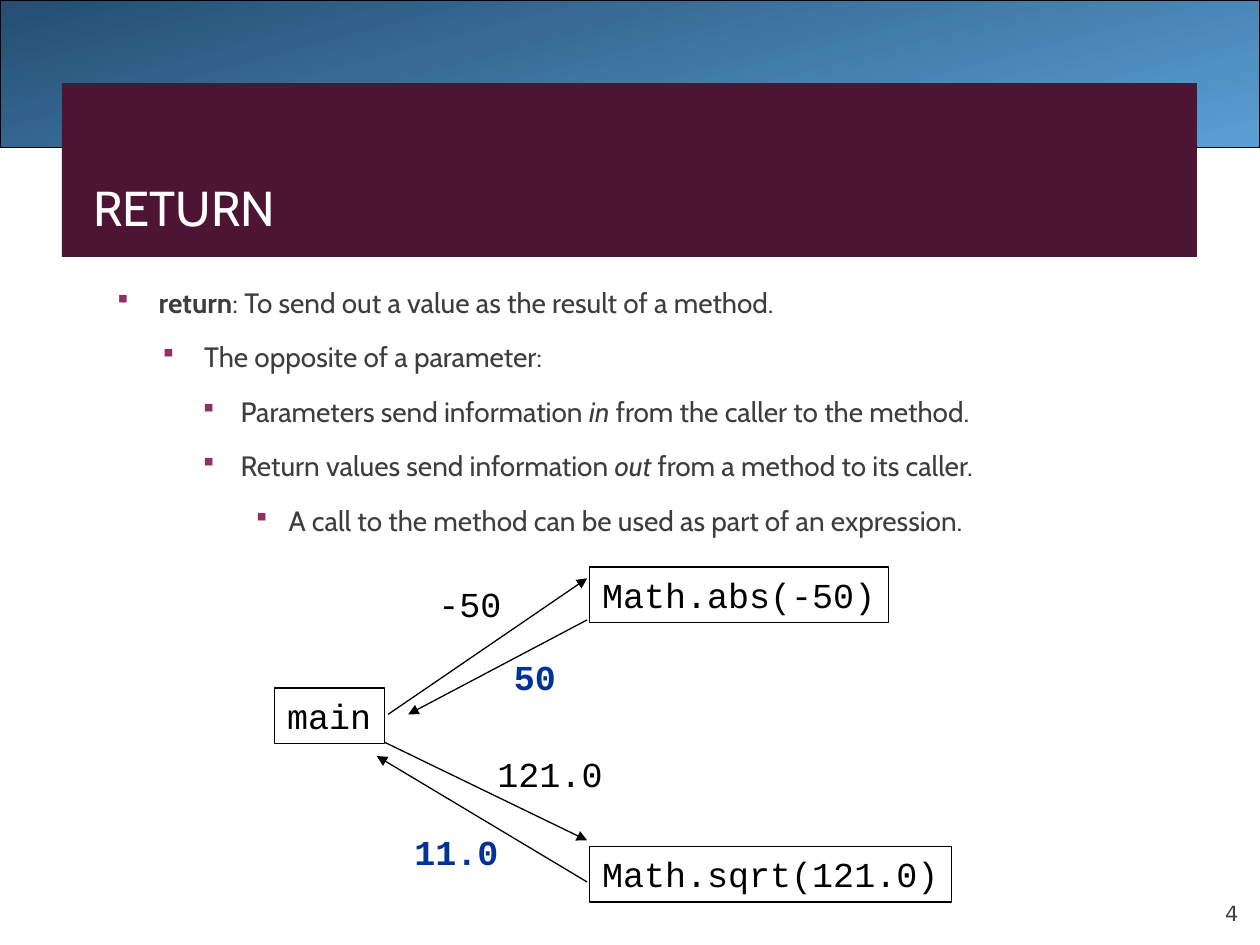
from lxml.etree import SubElement
from pptx import Presentation
from pptx.dml.color import RGBColor
from pptx.enum.shapes import MSO_CONNECTOR, MSO_SHAPE
from pptx.enum.text import MSO_ANCHOR, MSO_AUTO_SIZE, PP_ALIGN
from pptx.oxml.ns import qn
from pptx.util import Inches, Pt


def color(hex_string):
    return RGBColor.from_string(hex_string)


def style(span, size, font, hex_string, bold=False, italic=False):
    span.font.size = Pt(size)
    span.font.name = font
    span.font.color.rgb = color(hex_string)
    span.font.bold = bold
    span.font.italic = italic


deck = Presentation()
deck.slide_width = Inches(10)
deck.slide_height = Inches(7.5)
page = deck.slides.add_slide(deck.slide_layouts[1])

header = page.shapes.add_shape(MSO_SHAPE.RECTANGLE, 0, 0, Inches(10), Inches(1.17))
header.shadow.inherit = False
header.fill.gradient()
header.fill.gradient_angle = 285
for stop, shade in zip(header.fill.gradient_stops, ("244E72", "5A9FD4")):
    stop.color.rgb = color(shade)
header.line.color.rgb = color("000000")
header.line.width = Pt(0.75)

banner = page.shapes.add_shape(
    MSO_SHAPE.RECTANGLE, Inches(0.49), Inches(0.66), Inches(9.01), Inches(1.38))
banner.shadow.inherit = False
banner.fill.solid()
banner.fill.fore_color.rgb = color("4D1434")
banner.line.fill.background()

title = page.shapes.title
banner._element.addnext(title._element)
title.left, title.top = Inches(0.64), Inches(0.75)
title.width, title.height = Inches(8.74), Inches(1.18)
title.text_frame.text = "RETURN"
title.text_frame.auto_size = MSO_AUTO_SIZE.NONE
title.text_frame.vertical_anchor = MSO_ANCHOR.BOTTOM
title.text_frame.paragraphs[0].alignment = PP_ALIGN.LEFT
style(title.text_frame.paragraphs[0].runs[0], 28, "Cabin", "FFFFFF")

body = page.placeholders[1]
body.left, body.top = Inches(0.83), Inches(2.19)
body.width, body.height = Inches(8.74), Inches(2.25)
body.text_frame.auto_size = MSO_AUTO_SIZE.NONE
body.text_frame.vertical_anchor = MSO_ANCHOR.TOP
indents = [(0.33, 0.33), (0.69, 0.33), (0.98, 0.3), (1.36, 0.26)]
bullets = [
    (0, [("return", "bold"), (": To send out a value as the result of a method.", "")]),
    (1, [("The opposite of a parameter:", "")]),
    (2, [("Parameters send information ", ""), ("in ", "italic"),
         ("from the caller to the method.", "")]),
    (2, [("Return values send information ", ""), ("out ", "italic"),
         ("from a method to its caller.", "")]),
    (3, [("A call to the method can be used as part of an expression.", "")]),
]
for index, (level, pieces) in enumerate(bullets):
    paragraph = body.text_frame.add_paragraph() if index else body.text_frame.paragraphs[0]
    paragraph.level = level
    paragraph.line_spacing = 1.1
    paragraph.space_before = Pt(4 if index else 0)
    paragraph.space_after = Pt(6)
    margin, hanging = indents[level]
    properties = paragraph._p.get_or_add_pPr()
    properties.set("marL", str(Inches(margin)))
    properties.set("indent", str(-Inches(hanging)))
    bullet_color = SubElement(properties, qn("a:buClr"))
    SubElement(bullet_color, qn("a:srgbClr"), val="903163")
    SubElement(properties, qn("a:buSzPct"), val="92000")
    SubElement(properties, qn("a:buFont"), typeface="Wingdings", charset="2")
    SubElement(properties, qn("a:buChar"), char="§")
    for text, emphasis in pieces:
        span = paragraph.add_run()
        span.text = text
        style(span, 16, "Cabin", "3D3D3D", emphasis == "bold", emphasis == "italic")

arrows = [
    (3.08, 5.67, 4.66, 4.59),
    (4.66, 4.92, 3.24, 5.67),
    (3.05, 5.89, 4.66, 6.67),
    (4.66, 7, 2.99, 6),
]
for ends in arrows:
    arrow = page.shapes.add_connector(
        MSO_CONNECTOR.STRAIGHT, *[Inches(value) for value in ends])
    arrow.line.color.rgb = color("000000")
    arrow.line.width = Pt(0.75)
    SubElement(arrow.line._get_or_add_ln(), qn("a:tailEnd"), type="triangle")
    SubElement(arrow._element.spPr, qn("a:effectLst"))

code_boxes = [
    ("main", 2.18, 5.46, 0.87, "node"),
    ("Math.abs(-50)", 4.68, 4.5, 2.37, "node"),
    ("Math.sqrt(121.0)", 4.68, 6.72, 2.87, "node"),
    ("-50", 3.38, 4.57, 0.72, "argument"),
    ("121.0", 3.85, 5.92, 1.06, "argument"),
    ("50", 3.98, 5.15, 0.56, "result"),
    ("11.0", 3.19, 6.54, 0.89, "result"),
]
for text, left, top, width, role in code_boxes:
    box = page.shapes.add_textbox(Inches(left), Inches(top), Inches(width), Inches(0.44))
    box.text_frame.text = text
    box.text_frame.word_wrap = False
    box.text_frame.auto_size = MSO_AUTO_SIZE.SHAPE_TO_FIT_TEXT
    is_result = role == "result"
    style(box.text_frame.paragraphs[0].runs[0], 20, "Courier New",
          "003399" if is_result else "000000", is_result)
    if role == "node":
        box.line.color.rgb = color("000000")
        box.line.width = Pt(0.75)

number = page.shapes.add_textbox(Inches(9), Inches(6.95), Inches(0.83), Inches(0.4))
frame = number.text_frame
frame.text = "4"
frame.word_wrap = True
frame.vertical_anchor = MSO_ANCHOR.BOTTOM
frame.margin_left = frame.margin_right = frame.margin_top = frame.margin_bottom = 0
frame.paragraphs[0].alignment = PP_ALIGN.RIGHT
style(frame.paragraphs[0].runs[0], 12, "DejaVu Sans", "424242")

deck.save("out.pptx")
